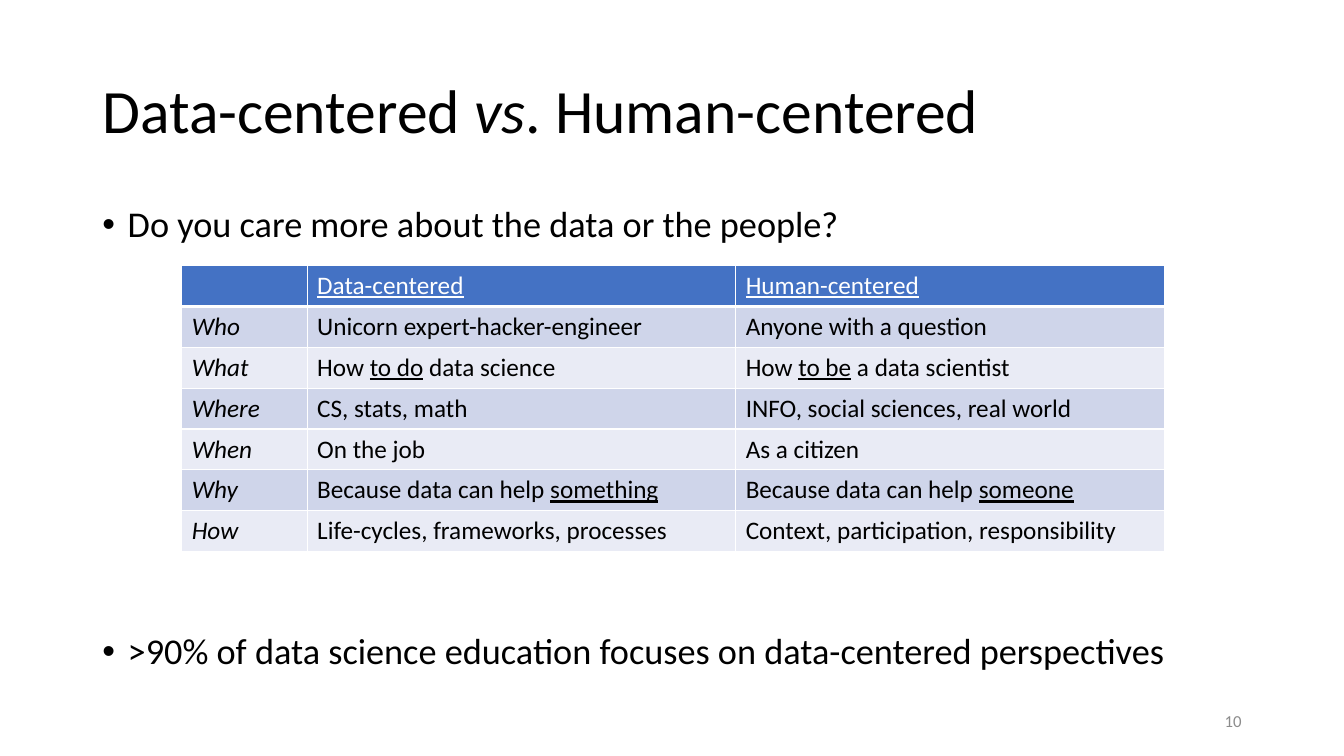
import pptx
import pptx.util
import pptx.dml.color
import pptx.enum.text
import pptx.oxml
import pptx.oxml.ns
from pptx.util import Cm, Pt

RGBColor = pptx.dml.color.RGBColor
ANCHOR = pptx.enum.text.MSO_ANCHOR
ALIGN = pptx.enum.text.PP_ALIGN

BLACK = RGBColor(0x00, 0x00, 0x00)
WHITE = RGBColor(0xFF, 0xFF, 0xFF)
GRAY = RGBColor(0x8C, 0x8C, 0x8C)
HEADER_BLUE = RGBColor(0x44, 0x72, 0xC4)
BANDS = [RGBColor(0xCF, 0xD5, 0xEA), RGBColor(0xE9, 0xEB, 0xF5)]
FONT = "Calibri"

# Each text is a list of (words, style) runs: "" plain, "i" italic, "u" underlined
TITLE = [("Data-centered ", ""), ("vs", "i"), (". Human-centered", "")]
# (space before in points, runs)
BULLETS = [
    (10, [("Do you care more about the data or the people?", "")]),
    (277, [(">90% of data science education focuses on data-centered perspectives", "")]),
]
PAGE_NUMBER = [("10", "")]
ROWS = [
    [[], [("Data-centered", "u")], [("Human-centered", "u")]],
    [[("Who", "i")], [("Unicorn expert-hacker-engineer", "")],
     [("Anyone with a question", "")]],
    [[("What", "i")], [("How ", ""), ("to do", "u"), (" data science", "")],
     [("How ", ""), ("to be", "u"), (" a data scientist", "")]],
    [[("Where", "i")], [("CS, stats, math", "")],
     [("INFO, social sciences, real world", "")]],
    [[("When", "i")], [("On the job", "")], [("As a citizen", "")]],
    [[("Why", "i")], [("Because data can help ", ""), ("something", "u")],
     [("Because data can help ", ""), ("someone", "u")]],
    [[("How", "i")], [("Life-cycles, frameworks, processes", "")],
     [("Context, participation, responsibility", "")]],
]
COLUMN_WIDTHS = [Cm(3.16), Cm(10.8), Cm(10.8)]
ROW_HEIGHT = Cm(1.03)
MARGIN_LEFT, CONTENT_WIDTH = Cm(2.33), Cm(29.21)


def add_runs(p, runs, size, color):
    for words, style in runs:
        r = p.add_run()
        r.text = words
        r.font.name = FONT
        r.font.size = Pt(size)
        r.font.color.rgb = color
        r.font.bold = False
        r.font.italic = style == "i"
        r.font.underline = style == "u"


def add_text_box(s, left, top, width, height, anchor):
    tf = s.shapes.add_textbox(left, top, width, height).text_frame
    tf.word_wrap = True
    tf.vertical_anchor = anchor
    return tf


def add_bullet(p):
    pPr = p._p.get_or_add_pPr()
    pPr.set("marL", str(Cm(0.64)))
    pPr.set("indent", str(-Cm(0.64)))
    ns = pptx.oxml.ns.nsdecls("a")
    pPr.append(pptx.oxml.parse_xml(f'<a:buFont {ns} typeface="Arial"/>'))
    pPr.append(pptx.oxml.parse_xml(f'<a:buChar {ns} char="•"/>'))


def set_borders(cell, top, bottom):
    """White borders; top and bottom are widths in points, the sides are 1."""
    tcPr = cell._tc.get_or_add_tcPr()
    sides = [("lnL", 1), ("lnR", 1), ("lnT", top), ("lnB", bottom)]
    for i, (tag, width) in enumerate(sides):
        tcPr.insert(i, pptx.oxml.parse_xml(
            f'<a:{tag} {pptx.oxml.ns.nsdecls("a")} w="{Pt(width)}">'
            f'<a:solidFill><a:srgbClr val="{WHITE}"/></a:solidFill></a:{tag}>'))


def main():
    prs = pptx.Presentation()
    prs.slide_width, prs.slide_height = Cm(33.87), Cm(19.05)
    s = prs.slides.add_slide(prs.slide_layouts[6])

    tf = add_text_box(s, MARGIN_LEFT, Cm(1.01), CONTENT_WIDTH, Cm(3.68), ANCHOR.MIDDLE)
    tf.paragraphs[0].line_spacing = 0.9
    add_runs(tf.paragraphs[0], TITLE, 44, BLACK)

    tf = add_text_box(s, MARGIN_LEFT, Cm(5.07), CONTENT_WIDTH, Cm(12.09), ANCHOR.TOP)
    for i, (space_before, runs) in enumerate(BULLETS):
        p = tf.add_paragraph() if i else tf.paragraphs[0]
        p.line_spacing = 0.9
        p.space_before = Pt(space_before)
        add_bullet(p)
        add_runs(p, runs, 25.9, BLACK)

    tf = add_text_box(s, Cm(23.92), Cm(17.66), Cm(7.62), Cm(1.01), ANCHOR.MIDDLE)
    tf.paragraphs[0].alignment = ALIGN.RIGHT
    add_runs(tf.paragraphs[0], PAGE_NUMBER, 12, GRAY)

    table = s.shapes.add_table(
        len(ROWS), len(COLUMN_WIDTHS), Cm(4.58), Cm(6.69),
        sum(COLUMN_WIDTHS), ROW_HEIGHT * len(ROWS)).table
    for column, width in zip(table.columns, COLUMN_WIDTHS):
        column.width = width
    for i, row in enumerate(ROWS):
        table.rows[i].height = ROW_HEIGHT
        for j, runs in enumerate(row):
            cell = table.cell(i, j)
            cell.fill.solid()
            cell.fill.fore_color.rgb = BANDS[(i - 1) % 2] if i else HEADER_BLUE
            set_borders(cell, top=3 if i == 1 else 1, bottom=1 if i else 3)
            add_runs(cell.text_frame.paragraphs[0], runs, 18, BLACK if i else WHITE)

    prs.save("out.pptx")


if __name__ == "__main__":
    main()
